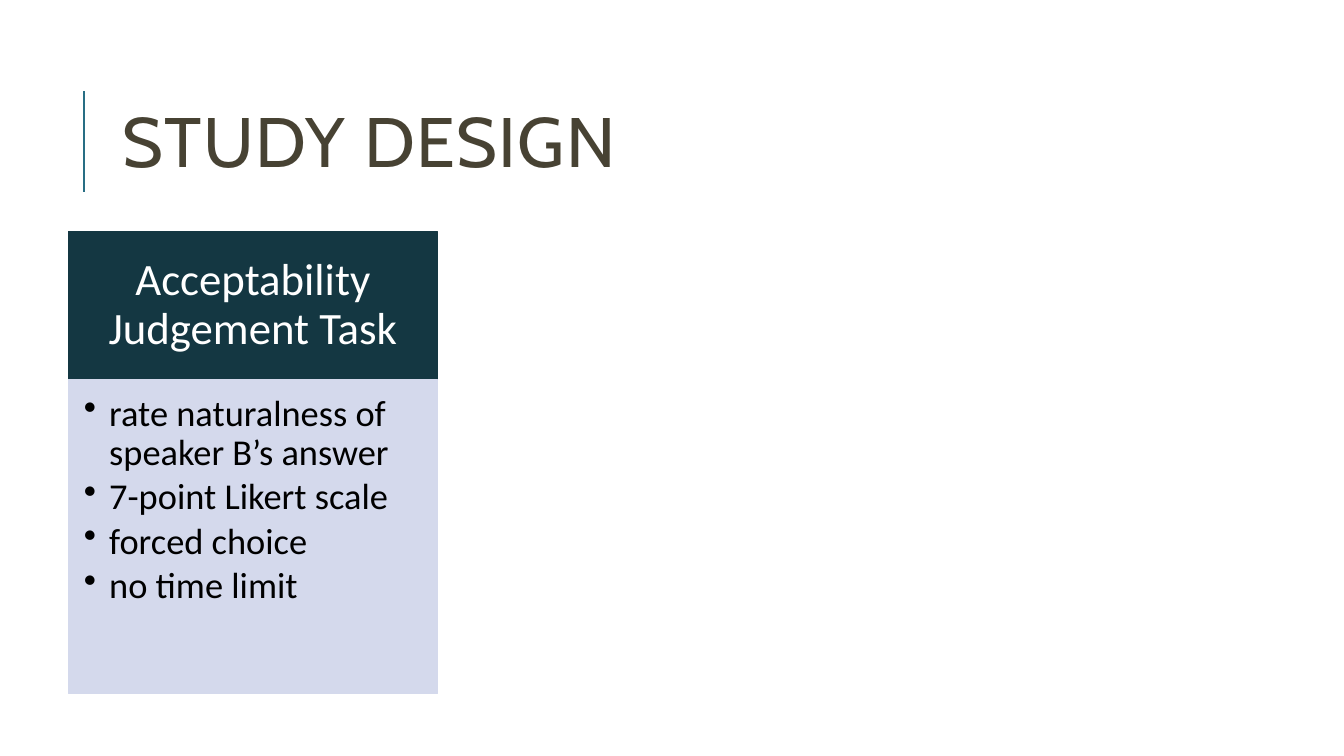
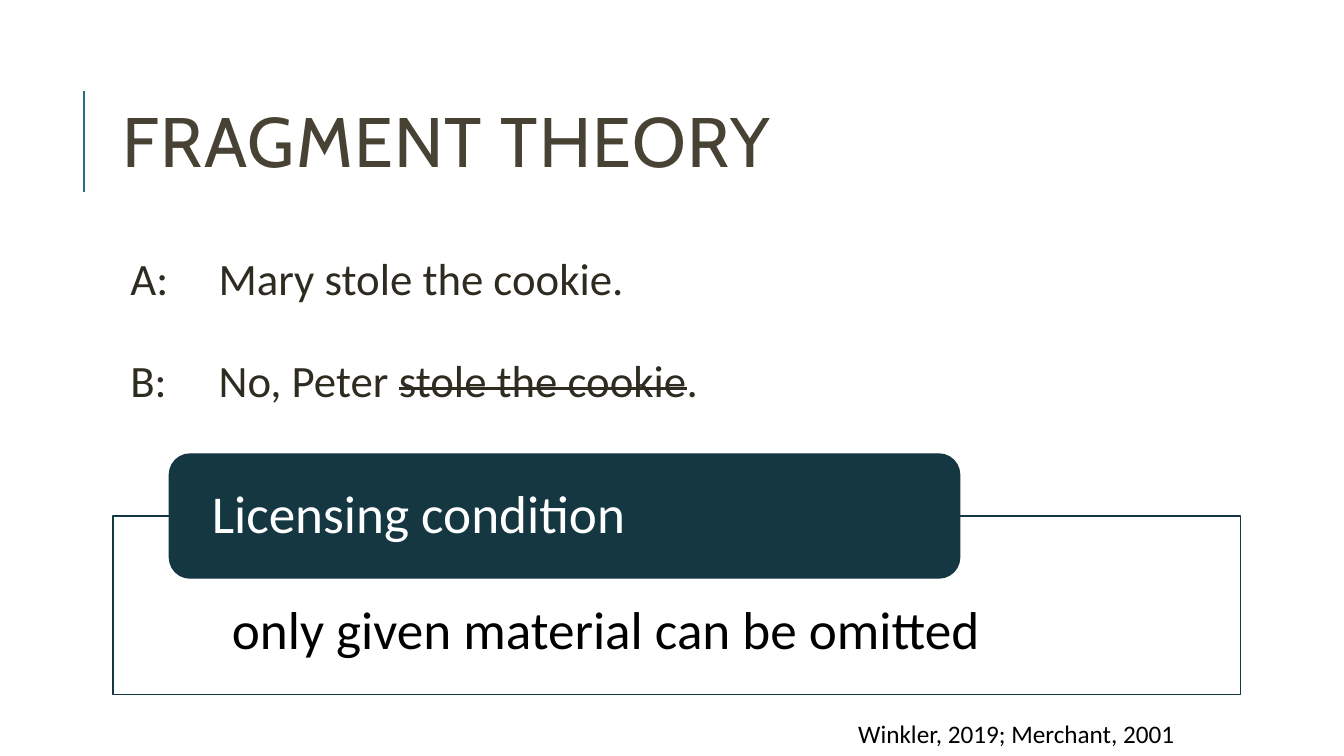
from lxml import etree
from pptx import Presentation
from pptx.dml.color import RGBColor
from pptx.enum import shapes, text
from pptx.oxml import ns
from pptx.util import Pt

COLORS = {"accent": "286E84", "title": "474233", "body": "2E2B21", "dark": "143742",
          "pale": "D4D9EC", "white": "FFFFFF", "black": "000000"}
TITLE_FONT, BODY_FONT = "Cabin", "Calibri"
RECT = shapes.MSO_SHAPE.RECTANGLE
ROUNDED = shapes.MSO_SHAPE.ROUNDED_RECTANGLE
TOP, MIDDLE = text.MSO_ANCHOR.TOP, text.MSO_ANCHOR.MIDDLE
LEFT, CENTER, RIGHT = text.PP_ALIGN.LEFT, text.PP_ALIGN.CENTER, text.PP_ALIGN.RIGHT

TASK = {
    "title": "STUDY DESIGN",
    "header": "Acceptability Judgement Task",
    "points": ["rate naturalness of speaker B’s answer", "7-point Likert scale",
               "forced choice", "no time limit"],
}
THEORY = {
    "title": "FRAGMENT THEORY",
    "dialogue": [("A:\tMary stole the cookie.", "", ""),
                 ("B:\tNo, Peter ", "stole the cookie", ".")],
    "label": "Licensing condition",
    "condition": "only given material can be omitted",
    "source": "Winkler, 2019; Merchant, 2001",
}

MARGIN = 80.6
CONTENT_W = 765.4
CARD_X, CARD_Y, CARD_W = 49, 165.6, 263.5
HEADER_H, POINTS_H = 105.4, 224.6
FRAME_Y, FRAME_W, FRAME_H = 368.6, 805.7, 127.4
LABEL_X, LABEL_W, LABEL_H = 121, 564.5, 88.6


def rgb(name):
    return RGBColor.from_string(COLORS[name])


def style(p, size, color, font=BODY_FONT, align=LEFT, spacing=0.9):
    p.alignment = align
    p.line_spacing = spacing
    for r in p.runs:
        r.font.size = Pt(size)
        r.font.name = font
        r.font.color.rgb = rgb(color)


def indent(p, left, first, bullet=None):
    pPr = p._p.get_or_add_pPr()
    pPr.set("marL", str(Pt(left)))
    pPr.set("indent", str(Pt(first)))
    if bullet:
        etree.SubElement(pPr, ns.qn("a:buChar")).set("char", bullet)


def frame(sp, insets=(7.2, 3.6, 7.2, 3.6), anchor=TOP):
    tf = sp.text_frame
    tf.word_wrap = True
    tf.vertical_anchor = anchor
    tf.margin_left, tf.margin_top, tf.margin_right, tf.margin_bottom = map(Pt, insets)
    return tf


def add_text(s, box, insets=(7.2, 3.6, 7.2, 3.6), anchor=TOP):
    return frame(s.shapes.add_textbox(*map(Pt, box)), insets, anchor)


def add_box(s, kind, box, fill, line, insets, anchor=TOP):
    sp = s.shapes.add_shape(kind, *map(Pt, box))
    sp.shadow.inherit = False
    sp.fill.solid()
    sp.fill.fore_color.rgb = rgb(fill)
    sp.line.color.rgb = rgb(line)
    sp.line.width = Pt(1)
    return frame(sp, insets, anchor)


def add_titled_slide(prs, title):
    s = prs.slides.add_slide(prs.slide_layouts[6])
    rule = s.shapes.add_connector(shapes.MSO_CONNECTOR.STRAIGHT, Pt(60), Pt(137), Pt(60), Pt(65))
    rule.line.color.rgb = rgb("accent")
    rule.line.width = Pt(1.5)
    etree.SubElement(rule._element.spPr, ns.qn("a:effectLst"))
    tf = add_text(s, (MARGIN, 46, CONTENT_W, 118), anchor=MIDDLE)
    tf.text = title
    p = tf.paragraphs[0]
    style(p, 50, "title", TITLE_FONT, spacing=0.8)
    p.runs[0].font._element.set("spc", "100")
    return s


def build_task(prs):
    s = add_titled_slide(prs, TASK["title"])
    tf = add_box(s, RECT, (CARD_X, CARD_Y, CARD_W, HEADER_H), "dark", "dark",
                 (18, 10, 18, 10), MIDDLE)
    tf.text = TASK["header"]
    style(tf.paragraphs[0], 32, "white", align=CENTER)

    tf = add_box(s, RECT, (CARD_X, CARD_Y + HEADER_H, CARD_W, POINTS_H), "pale", "pale",
                 (11, 11, 14.4, 16.5))
    tf.text = "\n".join(TASK["points"])
    for p in tf.paragraphs:
        style(p, 26, "black")
        p.space_after = Pt(3.6)
        indent(p, 18, -18, "•")


def build_theory(prs):
    s = add_titled_slide(prs, THEORY["title"])
    tf = add_text(s, (MARGIN, 180, CONTENT_W, 180), (3.6, 3.6, 3.6, 3.6))
    for i, (spoken, omitted, ending) in enumerate(THEORY["dialogue"]):
        p = tf.add_paragraph() if i else tf.paragraphs[0]
        for part in filter(None, (spoken, omitted, ending)):
            r = p.add_run()
            r.text = part
            if part == omitted:
                r.font._element.set("strike", "sngStrike")
        style(p, 32, "body")
        p.space_before = Pt(38.5 if i else 0)
        indent(p, 72, -63)

    tf = add_box(s, RECT, (MARGIN, FRAME_Y, FRAME_W, FRAME_H), "white", "dark",
                 (85, 62.5, 62.5, 21.6))
    tf.text = THEORY["condition"]
    style(tf.paragraphs[0], 38, "black")

    tf = add_box(s, ROUNDED, (LABEL_X, FRAME_Y - LABEL_H / 2, LABEL_W, LABEL_H), "dark", "dark",
                 (26, 0, 26, 0), MIDDLE)
    tf.text = THEORY["label"]
    style(tf.paragraphs[0], 38, "white")

    tf = add_text(s, (381.6, 509.8, 464.4, 21.6))
    tf.text = THEORY["source"]
    style(tf.paragraphs[0], 18, "black", align=RIGHT, spacing=1.0)


def main():
    prs = Presentation()
    prs.slide_width, prs.slide_height = Pt(960), Pt(540)
    build_task(prs)
    build_theory(prs)
    prs.save("out.pptx")


if __name__ == "__main__":
    main()
